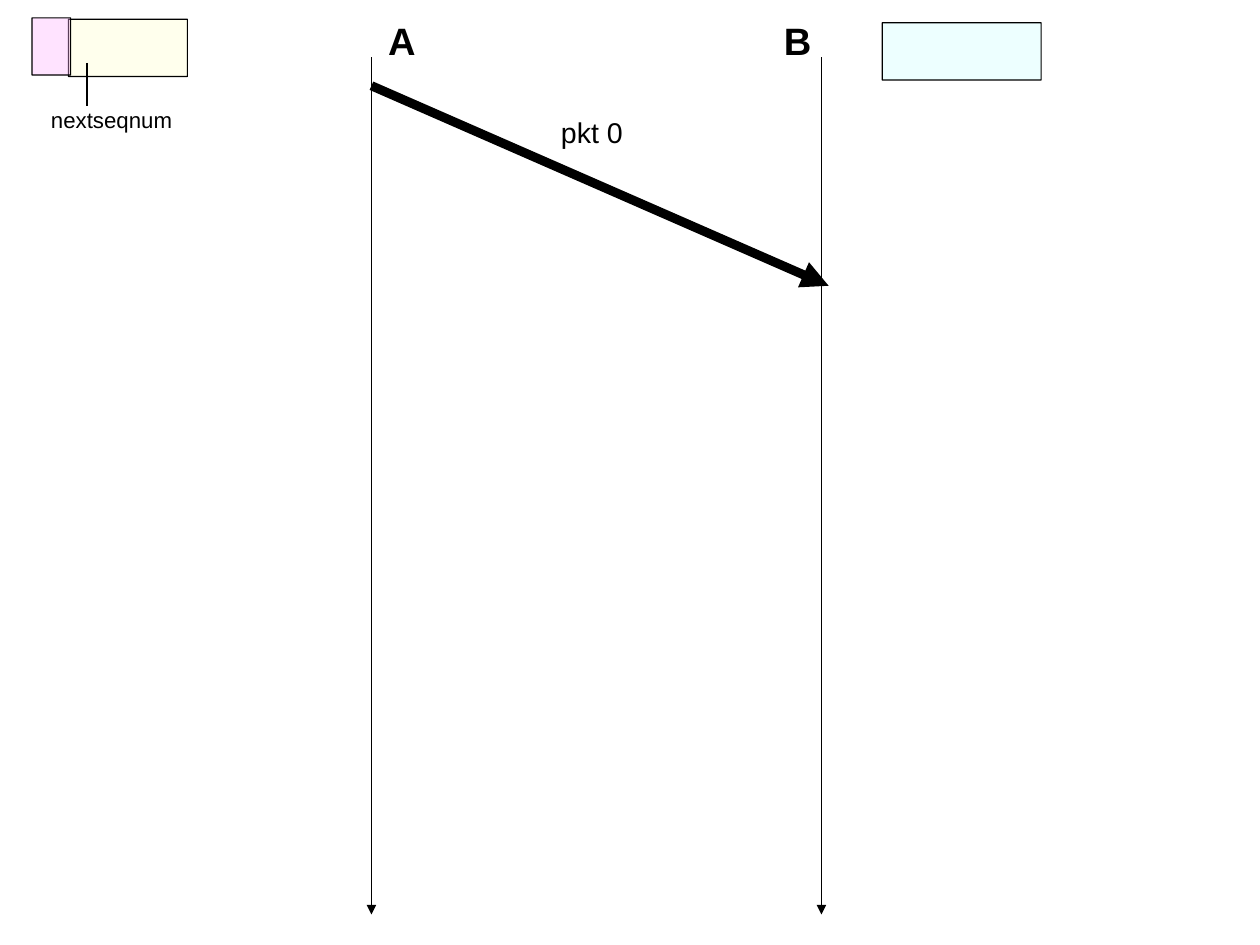
import collections
import pptx
import pptx.util
import pptx.dml.color
import pptx.enum.shapes
import pptx.oxml.ns
import lxml.etree
from dataclasses import dataclass

Pt = pptx.util.Pt
RGBColor = pptx.dml.color.RGBColor
ShapeKind = pptx.enum.shapes.MSO_SHAPE
ConnectorKind = pptx.enum.shapes.MSO_CONNECTOR
qn = pptx.oxml.ns.qn
Box = collections.namedtuple("Box", "left top width height")


@dataclass(frozen=True)
class Theme:
    font: str = "Arial"
    ink: str = "000000"
    acknowledged: str = "FFAFFF"
    sendable: str = "FFFFCC"
    receivable: str = "CCFFFF"
    opacity: int = 35
    host_size: int = 24
    packet_size: int = 18
    pointer_size: int = 14
    thin: float = 0.75
    thick: float = 5.75


theme = Theme()


def add_line(shapes, start, end, weight=theme.thin, arrow=False):
    line = shapes.add_connector(
        ConnectorKind.STRAIGHT, *(Pt(value) for value in (*start, *end)))
    line.line.color.rgb = RGBColor.from_string(theme.ink)
    line.line.width = Pt(weight)
    properties = line._element.spPr
    if arrow:
        outline = properties.find(qn("a:ln"))
        lxml.etree.SubElement(outline, qn("a:tailEnd"), type="triangle")
    lxml.etree.SubElement(properties, qn("a:effectLst"))


def add_window(shapes, box, color):
    window = shapes.add_shape(
        ShapeKind.ROUNDED_RECTANGLE, *(Pt(value) for value in box))
    window.adjustments[0] = 0.003
    window.shadow.inherit = False
    window.fill.solid()
    window.fill.fore_color.rgb = RGBColor.from_string(color)
    tint = window._element.spPr.find(".//" + qn("a:srgbClr"))
    lxml.etree.SubElement(tint, qn("a:alpha"), val=str(theme.opacity * 1000))
    window.line.color.rgb = RGBColor.from_string(theme.ink)
    window.line.width = Pt(theme.thin)


def add_label(shapes, box, text, size, bold=False):
    frame = shapes.add_textbox(*(Pt(value) for value in box)).text_frame
    frame.word_wrap = True
    frame.margin_left = frame.margin_right = Pt(7.2)
    frame.margin_top, frame.margin_bottom = Pt(5), Pt(3.6)
    para = frame.paragraphs[0]
    para.line_spacing = 0.93
    span = para.add_run()
    span.text = text
    span.font.name = theme.font
    span.font.size = Pt(size)
    span.font.bold = bold
    span.font.color.rgb = RGBColor.from_string(theme.ink)


def draw_timelines(page, box):
    """Two host timelines and the packet that crosses between them."""
    right, bottom = box.left + box.width, box.top + box.height
    for x in (box.left, right):
        add_line(page.shapes, (x, box.top), (x, bottom), arrow=True)
    add_line(page.shapes, (box.left, box.top + 18), (right + 4.5, box.top + 144),
             theme.thick, arrow=True)
    add_label(page.shapes, Box(box.left + 112.3, box.top + 33.5, 56, 27.4),
              "pkt 0", theme.packet_size)
    for text, x in (("A", box.left + 3.5), ("B", right - 30.8)):
        add_label(page.shapes, Box(x, box.top - 27.7, 32, 34.6),
                  text, theme.host_size, bold=True)


def draw_sender(page, box):
    """Sender window with its sequence number pointer."""
    add_window(page.shapes, Box(box.left + 23, box.top + 0.9, 74.9, box.height),
               theme.sendable)
    add_window(page.shapes, Box(box.left, box.top, 24.3, box.height),
               theme.acknowledged)
    pointer = page.shapes.add_group_shape().shapes
    add_label(pointer, Box(box.left + 4.8, box.top + 52, 102.2, 27.4),
              "nextseqnum", theme.pointer_size)
    x = box.left + 34.6
    add_line(pointer, (x, box.top + 28.3), (x, box.top + 55.6))


def draw_receiver(page, box):
    """Receiver window."""
    add_window(page.shapes, box, theme.receivable)


# Page
deck = pptx.Presentation()
deck.slide_width, deck.slide_height = Pt(793.75), Pt(595.25)
page = deck.slides.add_slide(deck.slide_layouts[6])

# Regions
draw_timelines(page, Box(234, 36, 283.5, 540))
draw_receiver(page, Box(555.8, 14.4, 100.1, 36))
draw_sender(page, Box(20.2, 11.3, 97.9, 36))

deck.save("out.pptx")
